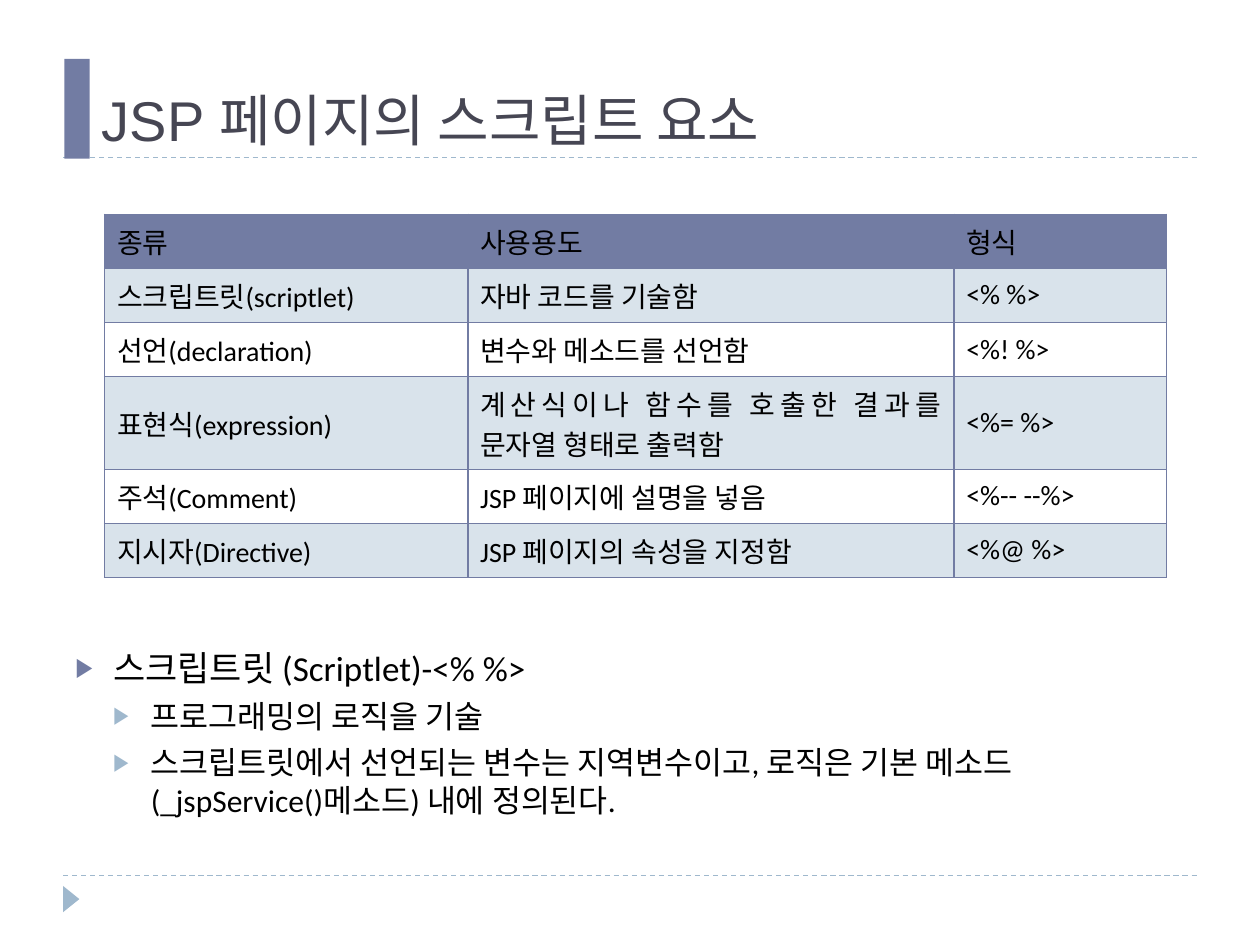
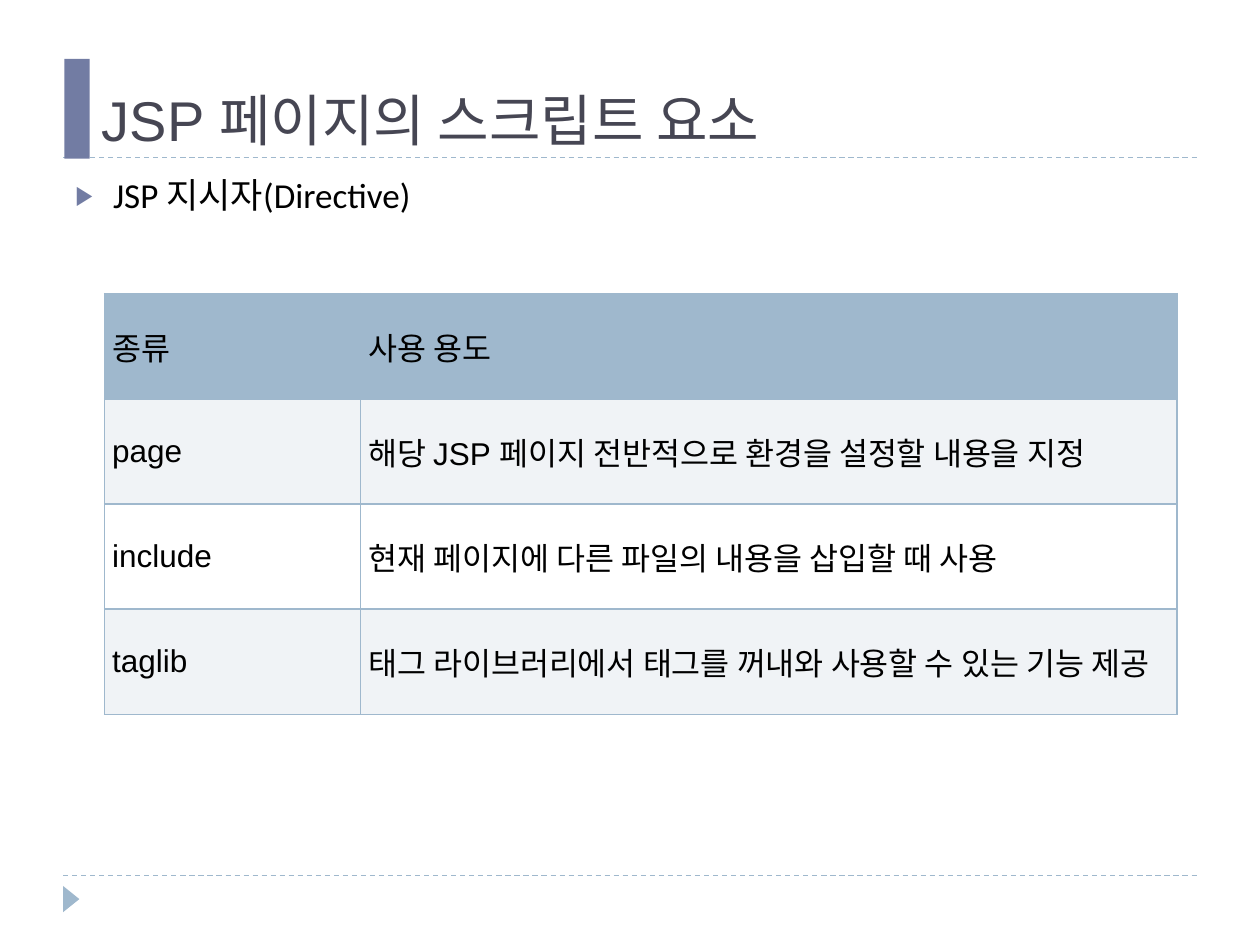
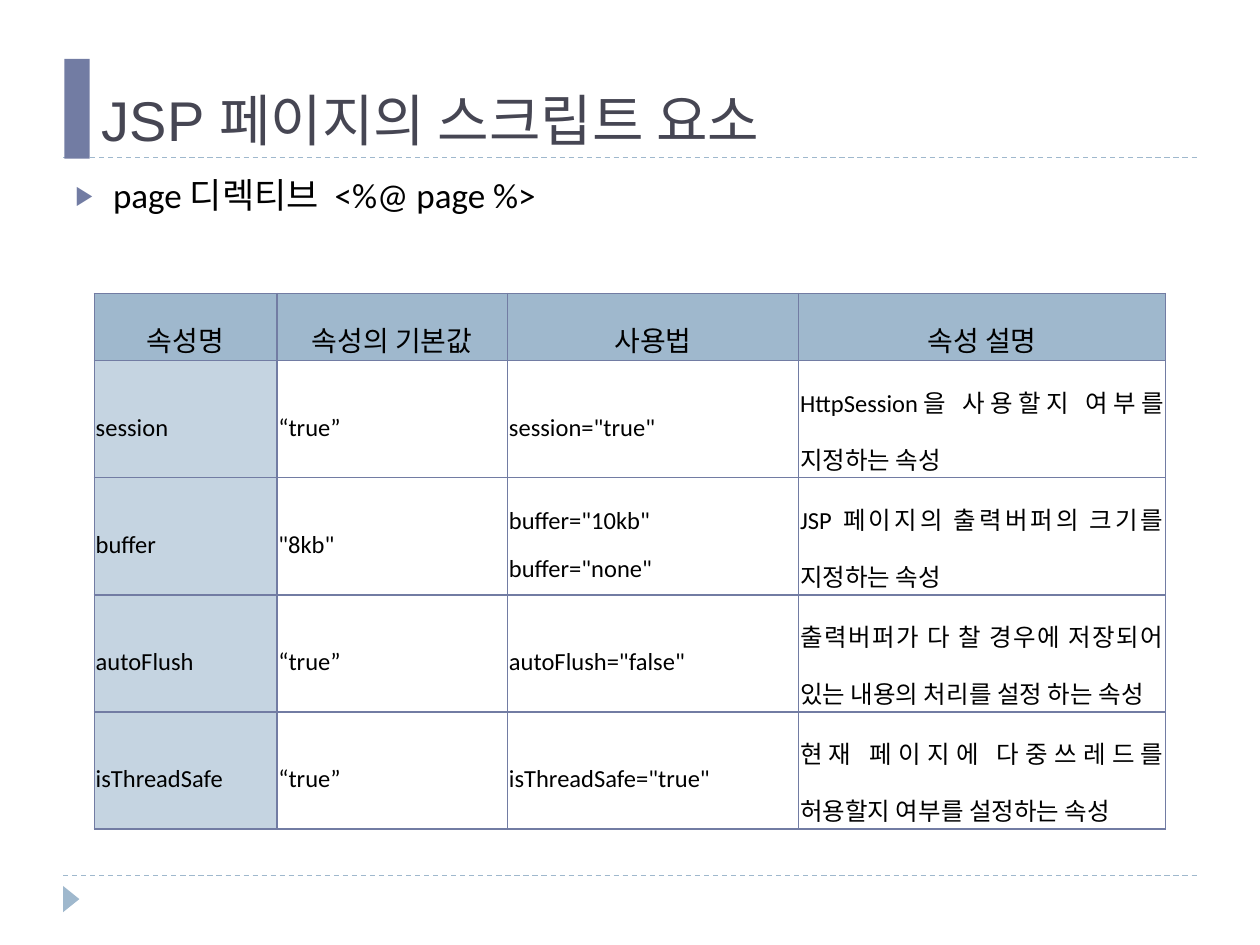
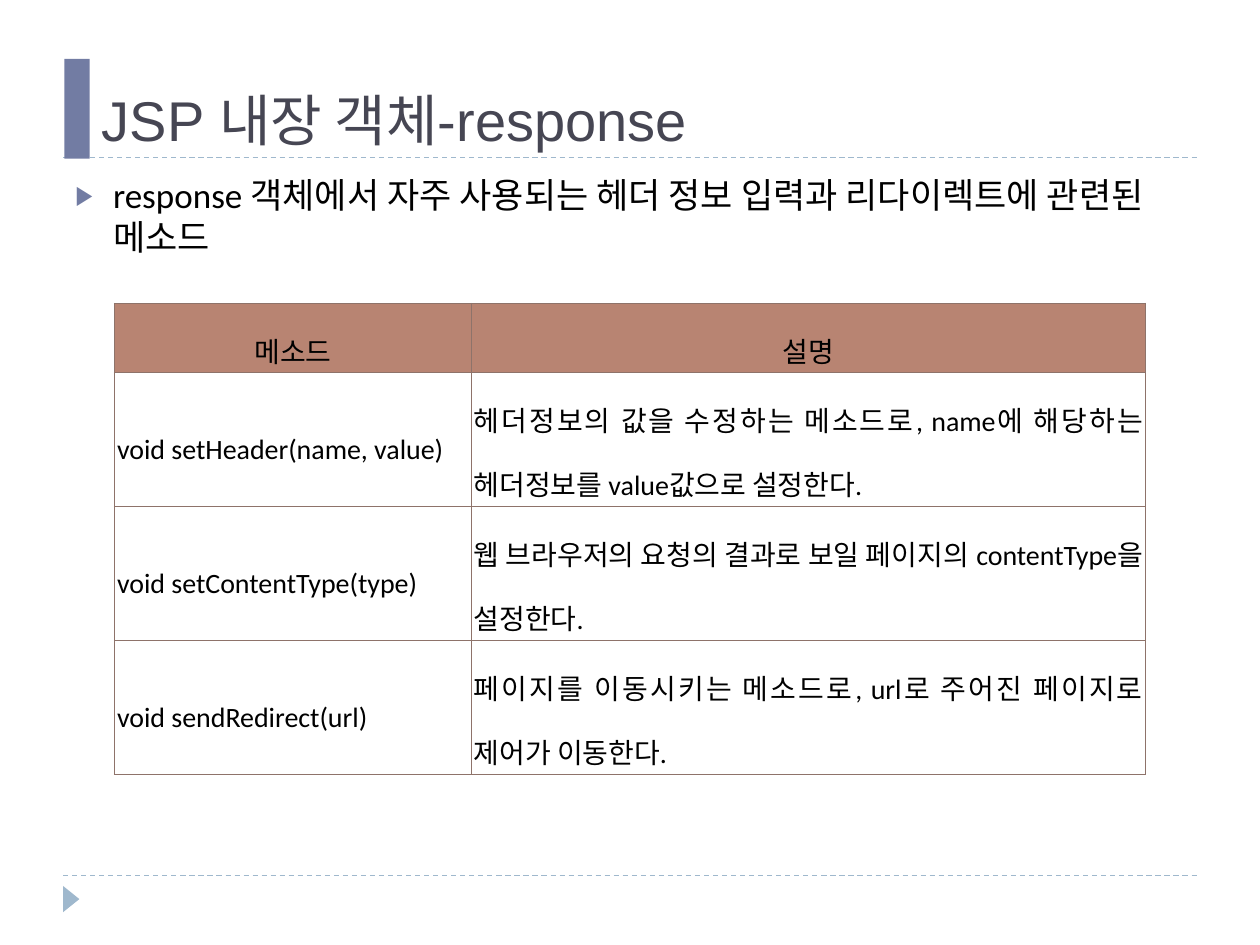
"""Build four slides on JSP script elements and the response object."""
import lxml.etree
import pptx
import pptx.dml.color
import pptx.enum.dml
import pptx.enum.shapes
import pptx.enum.text
import pptx.oxml.ns
import pptx.util

Cm = pptx.util.Cm
Pt = pptx.util.Pt
RGBColor = pptx.dml.color.RGBColor
ALIGN = pptx.enum.text.PP_ALIGN
ANCHOR = pptx.enum.text.MSO_ANCHOR
SHAPE = pptx.enum.shapes.MSO_SHAPE

INDIGO = RGBColor(0x72, 0x7C, 0xA3)
SKY = RGBColor(0x9F, 0xB8, 0xCD)
SKY_LIGHT = RGBColor(0xC5, 0xD4, 0xE1)
SKY_PALE = RGBColor(0xD9, 0xE3, 0xEB)
SKY_FAINT = RGBColor(0xF0, 0xF3, 0xF6)
CLAY = RGBColor(0xB8, 0x84, 0x72)
CLAY_DARK = RGBColor(0x8E, 0x73, 0x6A)
SLATE = RGBColor(0x46, 0x46, 0x53)
BLACK = RGBColor(0, 0, 0)
WHITE = RGBColor(0xFF, 0xFF, 0xFF)

TITLE_FONT = {"name": "Arial", "size": Pt(32), "bold": False}
BULLETS = [
    {"font": {"name": "Calibri", "size": Pt(20)}, "before": Pt(6), "color": INDIGO},
    {"font": {"name": "Calibri", "size": Pt(18)}, "before": Pt(5), "color": SKY},
]
INDENT = Cm(0.76)
SCRIPT_TITLE = "JSP 페이지의 스크립트 요소"

SLIDES = [
    {
        "title": SCRIPT_TITLE,
        "body_top": 12.9,
        "points": [
            (0, "스크립트릿 (Scriptlet)-<% %>"),
            (1, "프로그래밍의 로직을 기술"),
            (1, "스크립트릿에서 선언되는 변수는 지역변수이고, 로직은 기본 메소드"
                "(_jspService()메소드) 내에 정의된다."),
        ],
        "origin": (2.11, 4.32),
        "columns": [7.32, 9.8, 4.29],
        "heights": [1.09, 1.09, 1.09, 1.87, 1.09, 1.09],
        "margins": (0.25, 0.13),
        "font": "Calibri", "sizes": (16, 16), "spacing": None,
        "aligns": (ALIGN.JUSTIFY, ALIGN.JUSTIFY),
        "border": INDIGO, "head": INDIGO, "bands": (SKY_PALE, None), "first": None,
        "rows": [
            ["종류", "사용용도", "형식"],
            ["스크립트릿(scriptlet)", "자바 코드를 기술함", "<% %>"],
            ["선언(declaration)", "변수와 메소드를 선언함", "<%! %>"],
            ["표현식(expression)", "계산식이나 함수를 호출한 결과를 문자열 형태로 출력함", "<%= %>"],
            ["주석(Comment)", "JSP 페이지에 설명을 넣음", "<%-- --%>"],
            ["지시자(Directive)", "JSP 페이지의 속성을 지정함", "<%@ %>"],
        ],
    },
    {
        "title": SCRIPT_TITLE,
        "body_top": 3.38,
        "points": [(0, "JSP 지시자(Directive)")],
        "origin": (2.11, 5.92),
        "columns": [5.16, 16.46],
        "heights": [2.12] * 4,
        "margins": (0.15, 0.15),
        "font": "Arial", "sizes": (18, 18), "spacing": None,
        "aligns": (ALIGN.LEFT, ALIGN.LEFT),
        "border": SKY, "head": SKY, "bands": (SKY_FAINT, WHITE), "first": None,
        "rows": [
            ["종류", "사용 용도"],
            ["page", "해당 JSP 페이지 전반적으로 환경을 설정할 내용을 지정"],
            ["include", "현재 페이지에 다른 파일의 내용을 삽입할 때 사용"],
            ["taglib", "태그 라이브러리에서 태그를 꺼내와 사용할 수 있는 기능 제공"],
        ],
    },
    {
        "title": SCRIPT_TITLE,
        "body_top": 3.38,
        "points": [(0, "page 디렉티브  <%@ page %>")],
        "origin": (1.9, 5.92),
        "columns": [3.68, 4.65, 5.87, 7.39],
        "heights": [1.35] + [2.36] * 4,
        "margins": (0.03, 0.03),
        "font": "Calibri", "sizes": (16, 14), "spacing": 1.6,
        "aligns": (ALIGN.CENTER, ALIGN.JUSTIFY),
        "border": INDIGO, "head": SKY, "bands": (None, None), "first": SKY_LIGHT,
        "rows": [
            ["속성명", "속성의 기본값", "사용법", "속성 설명"],
            ["session", "“true”", 'session="true"', "HttpSession을 사용할지 여부를 지정하는 속성"],
            ["buffer", '"8kb"', 'buffer="10kb"\nbuffer="none"',
             "JSP 페이지의 출력버퍼의 크기를 지정하는 속성"],
            ["autoFlush", "“true”", 'autoFlush="false"',
             "출력버퍼가 다 찰 경우에 저장되어 있는 내용의 처리를 설정 하는 속성"],
            ["isThreadSafe", "“true”", 'isThreadSafe="true"',
             "현재 페이지에 다중쓰레드를 허용할지 여부를 설정하는 속성"],
        ],
    },
    {
        "title": "JSP 내장 객체-response",
        "body_top": 3.38,
        "points": [(0, "response 객체에서 자주 사용되는 헤더 정보 입력과 리다이렉트에 관련된 메소드")],
        "origin": (2.31, 6.12),
        "columns": [7.19, 13.59],
        "heights": [1.39] + [2.7] * 3,
        "margins": (0.05, 0.05),
        "font": "Calibri", "sizes": (16, 16), "spacing": 1.6,
        "aligns": (ALIGN.CENTER, ALIGN.JUSTIFY),
        "border": CLAY_DARK, "head": CLAY, "bands": (None, None), "first": None,
        "rows": [
            ["메소드", "설명"],
            ["void setHeader(name, value)",
             "헤더정보의 값을 수정하는 메소드로, name에 해당하는 헤더정보를 value값으로 설정한다."],
            ["void setContentType(type)",
             "웹 브라우저의 요청의 결과로 보일 페이지의 contentType을 설정한다."],
            ["void sendRedirect(url)",
             "페이지를 이동시키는 메소드로, url로 주어진 페이지로 제어가 이동한다."],
        ],
    },
]


def set_all(target, values):
    for key, value in values.items():
        setattr(target, key, value)


def add_xml(parent, tag, **attributes):
    return lxml.etree.SubElement(parent, pptx.oxml.ns.qn(tag), attributes)


deck = pptx.Presentation()
set_all(deck, {"slide_width": Cm(25.4), "slide_height": Cm(19.05)})

for content in SLIDES:
    slide = deck.slides.add_slide(deck.slide_layouts[6])
    shapes = slide.shapes

    for rule_y in (17.65, 3.18):
        rule = shapes.add_connector(
            pptx.enum.shapes.MSO_CONNECTOR.STRAIGHT,
            Cm(1.27), Cm(rule_y), Cm(24.13), Cm(rule_y))
        rule.line.color.rgb = SKY
        set_all(rule.line, {"width": Pt(0.75),
                            "dash_style": pptx.enum.dml.MSO_LINE.DASH})
        add_xml(rule.element.spPr, "a:effectLst")

    for preset, box, turn, color in (
            (SHAPE.ISOSCELES_TRIANGLE, (1.17, 17.96, 0.53, 0.33), 90, SKY),
            (SHAPE.RECTANGLE, (1.3, 1.19, 0.51, 2.01), 0, INDIGO)):
        accent = shapes.add_shape(preset, *map(Cm, box))
        accent.rotation = turn
        accent.shadow.inherit = False
        accent.fill.solid()
        accent.fill.fore_color.rgb = color
        accent.line.fill.background()

    title = shapes.add_textbox(Cm(1.8), Cm(1.19), Cm(22.33), Cm(2.01)).text_frame
    set_all(title, {"text": content["title"], "word_wrap": True,
                    "vertical_anchor": ANCHOR.BOTTOM})
    title_font = title.paragraphs[0].runs[0].font
    set_all(title_font, TITLE_FONT)
    title_font.color.rgb = SLATE

    body_top = content["body_top"]
    body = shapes.add_textbox(Cm(1.27), Cm(body_top), Cm(22.86), Cm(17.1 - body_top)).text_frame
    set_all(body, {"text": "\n".join(text for _, text in content["points"]),
                   "word_wrap": True})
    for point, (level, _) in zip(body.paragraphs, content["points"]):
        style = BULLETS[level]
        set_all(point, {"level": level, "space_before": style["before"]})
        set_all(point.runs[0].font, style["font"])
        point.runs[0].font.color.rgb = BLACK
        layout = point._p.get_or_add_pPr()
        layout.set("marL", str(INDENT * (level + 1)))
        layout.set("indent", str(-INDENT))
        bullet_color = add_xml(layout, "a:buClr")
        add_xml(bullet_color, "a:srgbClr", val=str(style["color"]))
        add_xml(layout, "a:buSzPct", val="76000")
        add_xml(layout, "a:buFont", typeface="Arial")
        add_xml(layout, "a:buChar", char="▶")

    rows, columns, heights = content["rows"], content["columns"], content["heights"]
    table = shapes.add_table(
        len(rows), len(columns), *map(Cm, content["origin"]),
        Cm(sum(columns)), Cm(sum(heights))).table
    set_all(table, {"first_row": False, "horz_banding": False})
    for column, width in zip(table.columns, columns):
        column.width = Cm(width)
    for row, height in zip(table.rows, heights):
        row.height = Cm(height)

    margin_x, margin_y = map(Cm, content["margins"])
    for row_index, row in enumerate(rows):
        is_body = row_index > 0
        for column_index, text in enumerate(row):
            cell = table.cell(row_index, column_index)
            set_all(cell, {"text": text, "vertical_anchor": ANCHOR.MIDDLE,
                           "margin_left": margin_x, "margin_right": margin_x,
                           "margin_top": margin_y, "margin_bottom": margin_y})
            for paragraph in cell.text_frame.paragraphs:
                set_all(paragraph, {"alignment": content["aligns"][is_body],
                                    "line_spacing": content["spacing"]})
                font = paragraph.runs[0].font
                set_all(font, {"name": content["font"], "bold": False,
                               "size": Pt(content["sizes"][is_body])})
                font.color.rgb = BLACK

            for side in ("a:lnL", "a:lnR", "a:lnT", "a:lnB"):
                edge = add_xml(cell._tc.get_or_add_tcPr(), side, w=str(Pt(1)))
                edge_fill = add_xml(edge, "a:solidFill")
                add_xml(edge_fill, "a:srgbClr", val=str(content["border"]))

            color = content["bands"][(row_index - 1) % 2] if is_body else content["head"]
            if is_body and column_index == 0 and content["first"]:
                color = content["first"]
            if color is None:
                cell.fill.background()
            else:
                cell.fill.solid()
                cell.fill.fore_color.rgb = color

deck.save("out.pptx")
